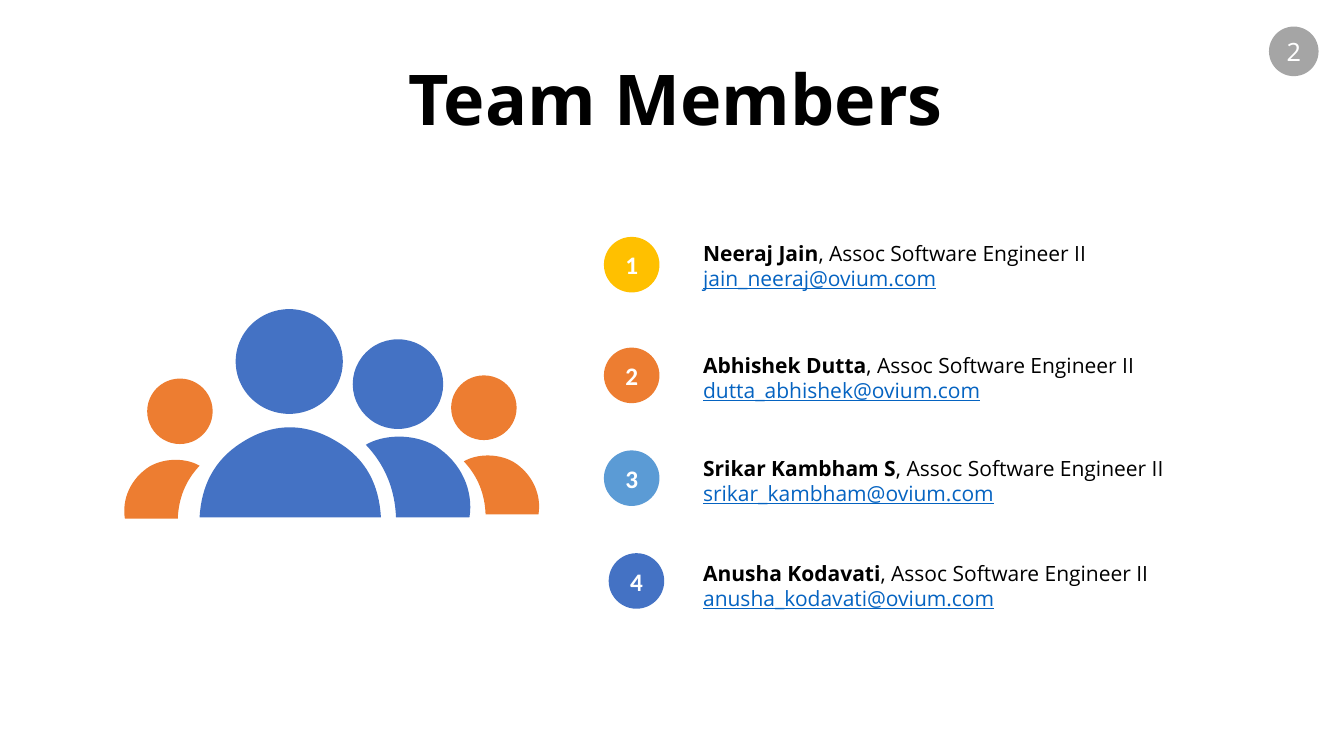
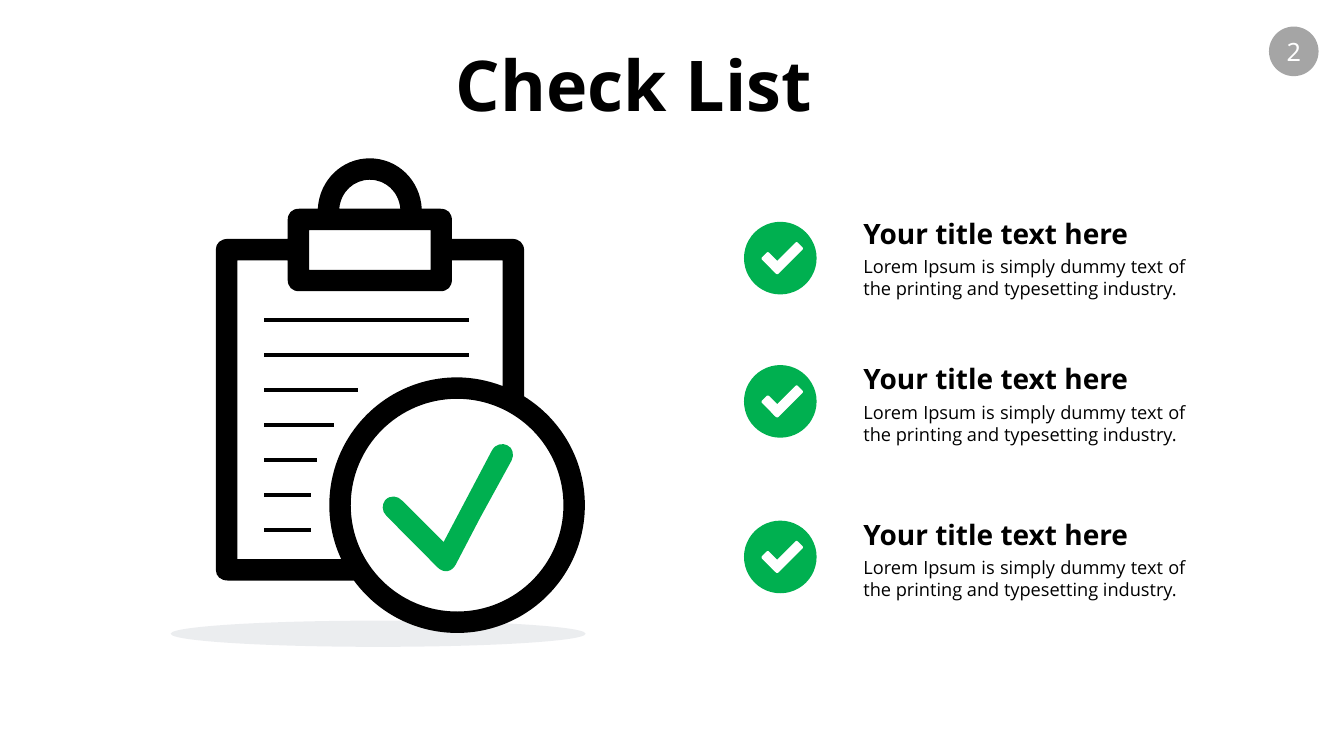
from itertools import chain
from lxml.etree import SubElement
from pptx import Presentation
from pptx.dml.color import RGBColor
from pptx.enum.shapes import MSO_CONNECTOR, MSO_SHAPE
from pptx.enum.text import MSO_ANCHOR, MSO_AUTO_SIZE, PP_ALIGN
from pptx.oxml.ns import qn
from pptx.util import Cm, Pt

COLORS = {
    "ink": "000000", "paper": "FFFFFF", "grey": "A5A5A5", "link": "0563C1",
    "gold": "FFC000", "orange": "ED7D31", "sky": "5B9BD5", "blue": "4472C4",
    "green": "00B050", "shade": "44546A",
}
HEADING_FONT, BODY_FONT, BADGE_FONT = "Noto Sans", "Open Sans", "Calibri"

MEMBERS = [  # name, mailbox, colour, badge left, badge top, text top
    ("Neeraj Jain", "jain_neeraj", "gold", 15.22, 5.97, 5.93),
    ("Abhishek Dutta", "dutta_abhishek", "orange", 15.22, 8.76, 8.75),
    ("Srikar Kambham S", "srikar_kambham", "sky", 15.22, 11.35, 11.35),
    ("Anusha Kodavati", "anusha_kodavati", "blue", 15.34, 13.94, 14.0),
]
ROLE = "Assoc Software Engineer II"
MAIL_DOMAIN = "ovium.com"

HEADS = [  # left, top, width, height, colour
    (2.87, 0, 2.7, 2.64, "blue"),
    (5.82, 0.76, 2.28, 2.26, "blue"),
    (8.3, 1.67, 1.65, 1.63, "orange"),
    (0.64, 1.75, 1.65, 1.65, "orange"),
]
# A contour is a start point and its segments: one point ends a line,
# three points (two controls and an end) make a cubic curve.
FRONT_TORSO = ((0, 1), [
    ((0.01, 0.67), (0.08, 0.4), (0.23, 0.22)),
    ((0.4, 0.01), (0.58, 0), (0.76, 0.21)),
    ((0.92, 0.39), (0.99, 0.66), (1, 1)),
])
SIDE_TORSO = ((0.28, 1), [
    ((0.27, 0.67), (0.18, 0.38), (0, 0.14)),
    ((0.16, 0.02), (0.43, 0), (0.64, 0.15)),
    ((0.89, 0.35), (1, 0.69), (0.96, 1)),
])
TORSOS = [  # contour, box, colour, mirrored
    (FRONT_TORSO, (1.96, 2.84, 4.57, 2.41), "blue", False),
    (SIDE_TORSO, (6.15, 3.12, 2.72, 2.13), "blue", False),
    (SIDE_TORSO, (8.62, 3.62, 1.96, 1.55), "orange", False),
    (SIDE_TORSO, (0, 3.73, 1.96, 1.55), "orange", True),
]

SILHOUETTE = ((1.14, 10.4), [
    ((1.14, 2.33),), ((1.14, 2.17), (1.26, 2.06), (1.45, 2.06)),
    ((2.95, 2.06),), ((2.95, 1.6),),
    ((2.95, 1.41), (3.05, 1.3), (3.25, 1.3)), ((3.71, 1.3),),
    ((3.75, 0.58), (4.32, 0.03), (5.02, 0.03)),
    ((5.72, 0.03), (6.29, 0.58), (6.33, 1.3)),
    ((6.79, 1.3),), ((6.99, 1.3), (7.09, 1.41), (7.09, 1.6)),
    ((7.09, 2.06),), ((8.6, 2.06),),
    ((8.79, 2.06), (8.91, 2.17), (8.91, 2.36)), ((8.91, 6.03),),
    ((9.86, 6.62), (10.44, 7.65), (10.44, 8.77)),
    ((10.44, 10.55), (9, 11.99), (7.22, 11.99)),
    ((6.19, 11.99), (5.23, 11.5), (4.62, 10.67)),
    ((1.45, 10.67),), ((1.26, 10.67), (1.14, 10.56), (1.14, 10.4)),
])
LOOP_HOLE = ((4.25, 1.3), [
    ((4.29, 0.87), (4.62, 0.57), (5.02, 0.57)),
    ((5.42, 0.57), (5.75, 0.87), (5.79, 1.3)),
])
CLIP_HOLE = ((3.49, 1.84), [((6.55, 1.84),), ((6.55, 2.84),), ((3.49, 2.84),)])
BOARD_HOLE = ((1.68, 2.6), [
    ((2.95, 2.6),), ((2.95, 3.08),),
    ((2.95, 3.27), (3.06, 3.38), (3.25, 3.38)), ((6.79, 3.38),),
    ((6.98, 3.38), (7.09, 3.27), (7.09, 3.08)), ((7.09, 2.6),),
    ((8.37, 2.6),), ((8.37, 5.77),),
    ((8.01, 5.63), (7.61, 5.55), (7.22, 5.55)),
    ((5.44, 5.55), (4, 6.99), (4, 8.77)),
    ((4, 9.24), (4.1, 9.7), (4.3, 10.13)), ((1.68, 10.13),),
])
LENS_HOLE = ((4.54, 8.77), [
    ((4.54, 7.29), (5.74, 6.09), (7.22, 6.09)),
    ((8.7, 6.09), (9.9, 7.29), (9.9, 8.77)),
    ((9.9, 10.25), (8.7, 11.45), (7.22, 11.45)),
    ((5.74, 11.45), (4.54, 10.25), (4.54, 8.77)),
])
CLIPBOARD = [SILHOUETTE, LOOP_HOLE, CLIP_HOLE, BOARD_HOLE, LENS_HOLE]
TICK = ((7.8, 9.09), [
    ((7.19, 10.26),), ((7.09, 10.46), (6.88, 10.49), (6.73, 10.34)),
    ((5.44, 9.04),), ((5.31, 8.92), (5.33, 8.74), (5.41, 8.64)),
    ((5.54, 8.51), (5.72, 8.53), (5.84, 8.66)),
    ((6.81, 9.63),), ((6.88, 9.7),), ((8.1, 7.39),),
    ((8.2, 7.21), (8.38, 7.21), (8.48, 7.26)),
    ((8.64, 7.32), (8.66, 7.52), (8.59, 7.65)),
])
RULE_LENGTHS = (5.16, 5.16, 2.36, 1.75, 1.32, 1.17, 1.17)

CHECK_TOPS = [(5.33, 5.59), (8.99, 9.2), (12.91, 13.12)]  # text, icon
CHECK_TITLE = "Your title text here"
CHECK_TEXT = ("Lorem Ipsum is simply dummy text of the printing "
              "and typesetting industry.")


def rgb(color):
    return RGBColor.from_string(COLORS[color])


def set_font(font, name, size, color="ink", bold=False):
    font.name, font.size, font.bold = name, Pt(size), bold
    font.color.rgb = rgb(color)


def paint(shape, color):
    """Give a shape a plain fill without outline or shadow."""
    shape.shadow.inherit = False
    shape.fill.solid()
    shape.fill.fore_color.rgb = rgb(color)
    shape.line.fill.background()
    return shape


def add_solid(slide, preset, left, top, width, height, color):
    return paint(slide.shapes.add_shape(
        preset, Cm(left), Cm(top), Cm(width), Cm(height)), color)


def add_outline(slide, contours, place, color):
    """Draw contours as one shape; place maps a point to slide centimetres."""
    def corner(point):
        x, y = place(*point)
        return Cm(x), Cm(y)

    builder = slide.shapes.build_freeform(*corner(contours[0][0]))
    for number, (start, segments) in enumerate(contours):
        if number:
            builder.move_to(*corner(start))
        builder.add_line_segments([corner(p) for p in chain(*segments)], close=True)
    outline = paint(builder.convert_to_shape(), color)

    # Fold each run of three line segments that stands for a curve
    lines = iter(list(outline._element.iter(qn("a:lnTo"))))
    for segment in chain.from_iterable(segments for _, segments in contours):
        drawn = next(lines)
        if len(segment) == 3:
            drawn.tag = qn("a:cubicBezTo")
            for _ in range(2):
                spare = next(lines)
                drawn.append(spare[0])
                spare.getparent().remove(spare)


def add_paragraphs_box(slide, left, top, width, height, count=1):
    """Add a wrapping text box and return its paragraphs."""
    frame = slide.shapes.add_textbox(
        Cm(left), Cm(top), Cm(width), Cm(height)).text_frame
    frame.word_wrap = True
    for _ in range(count - 1):
        frame.add_paragraph()
    return frame.paragraphs


def add_badge(slide, left, top, size, color, label, font, bold):
    badge = add_solid(slide, MSO_SHAPE.OVAL, left, top, size, size, color)
    frame = badge.text_frame
    frame.word_wrap = False
    frame.margin_left = frame.margin_right = 0
    frame.vertical_anchor = MSO_ANCHOR.MIDDLE
    paragraph = frame.paragraphs[0]
    paragraph.text = label
    paragraph.alignment = PP_ALIGN.CENTER
    set_font(paragraph.font, font, 18, "paper", bold)


def add_titled_slide(deck, title, left, top):
    slide = deck.slides.add_slide(deck.slide_layouts[5])
    heading = slide.shapes.title
    heading.left, heading.top = Cm(left), Cm(top)
    heading.width, heading.height = Cm(15.27), Cm(2.39)
    frame = heading.text_frame
    frame.auto_size = MSO_AUTO_SIZE.NONE
    frame.vertical_anchor = MSO_ANCHOR.TOP
    paragraph = frame.paragraphs[0]
    paragraph.text = title
    paragraph.alignment = PP_ALIGN.CENTER
    set_font(paragraph.font, HEADING_FONT, 50, bold=True)
    add_badge(slide, 31.98, 0.67, 1.25, "grey", "2", HEADING_FONT, False)
    return slide


def add_people(slide, left, top):
    for x, y, width, height, color in HEADS:
        add_solid(slide, MSO_SHAPE.OVAL, left + x, top + y, width, height, color)
    for contour, (x, y, width, height), color, mirrored in TORSOS:
        def place(u, v):
            return (left + x + width * (1 - u if mirrored else u),
                    top + y + height * v)
        add_outline(slide, [contour], place, color)


def add_member(slide, left, top, name, mailbox):
    person, mail = add_paragraphs_box(slide, left, top, 13.23, 1.55, count=2)
    for text, bold in ((name, True), (f", {ROLE}", False)):
        run = person.add_run()
        run.text = text
        set_font(run.font, BODY_FONT, 15, bold=bold)
    mail.text = f"{mailbox}@{MAIL_DOMAIN}"
    set_font(mail.font, BODY_FONT, 15, "link")
    mail.font.underline = True
    person.alignment = mail.alignment = PP_ALIGN.JUSTIFY


def add_clipboard(slide, left, top):
    ground = add_solid(slide, MSO_SHAPE.OVAL, left, top + 11.68, 10.46, 0.66, "shade")
    tint = ground.fill._xPr.find(f".//{qn('a:srgbClr')}")
    SubElement(tint, qn("a:alpha")).set("val", "10000")

    def place(x, y):
        return left + x, top + y

    add_outline(slide, [TICK], place, "green")
    add_outline(slide, CLIPBOARD, place, "ink")

    start = left + 2.36
    for row, length in enumerate(RULE_LENGTHS):
        y = Cm(top + 4.11 + 0.88 * row)
        rule = slide.shapes.add_connector(
            MSO_CONNECTOR.STRAIGHT, Cm(start), y, Cm(start + length), y)
        rule.line.color.rgb = rgb("ink")
        rule.line.width = Pt(3)
        SubElement(rule._element.spPr, qn("a:effectLst"))


def add_check_icon(slide, left, top):
    add_solid(slide, MSO_SHAPE.OVAL, left, top, 1.83, 1.83, "green")
    for x, y, length, angle in ((0.43, 0.91, 0.56, 45), (0.61, 0.79, 0.94, 135)):
        stroke = add_solid(slide, MSO_SHAPE.ROUNDED_RECTANGLE,
                           left + x, top + y, length, 0.25, "paper")
        stroke.rotation = angle


def add_check_text(slide, left, top):
    title, = add_paragraphs_box(slide, left, top, 7.72, 1.12)
    title.text = CHECK_TITLE
    set_font(title.font, HEADING_FONT, 20, bold=True)
    detail, = add_paragraphs_box(slide, left, top + 0.99, 8.61, 1.37)
    detail.text = CHECK_TEXT
    detail.alignment = PP_ALIGN.JUSTIFY
    set_font(detail.font, BODY_FONT, 13)


def build_team_slide(deck):
    slide = add_titled_slide(deck, "Team Members", 9.39, 1.27)
    add_people(slide, 3.07, 7.79)
    for number, member in enumerate(MEMBERS, start=1):
        name, mailbox, color, badge_left, badge_top, text_top = member
        add_badge(slide, badge_left, badge_top, 1.4, color, str(number),
                  BADGE_FONT, True)
        add_member(slide, 17.47, text_top, name, mailbox)


def build_checklist_slide(deck):
    slide = add_titled_slide(deck, "Check List", 8.34, 0.91)
    add_clipboard(slide, 4.3, 3.96)
    for text_top, icon_top in CHECK_TOPS:
        add_check_icon(slide, 18.75, icon_top)
        add_check_text(slide, 21.51, text_top)


def main():
    deck = Presentation()
    deck.slide_width, deck.slide_height = Cm(33.87), Cm(19.05)
    build_team_slide(deck)
    build_checklist_slide(deck)
    deck.save("out.pptx")


if __name__ == "__main__":
    main()
